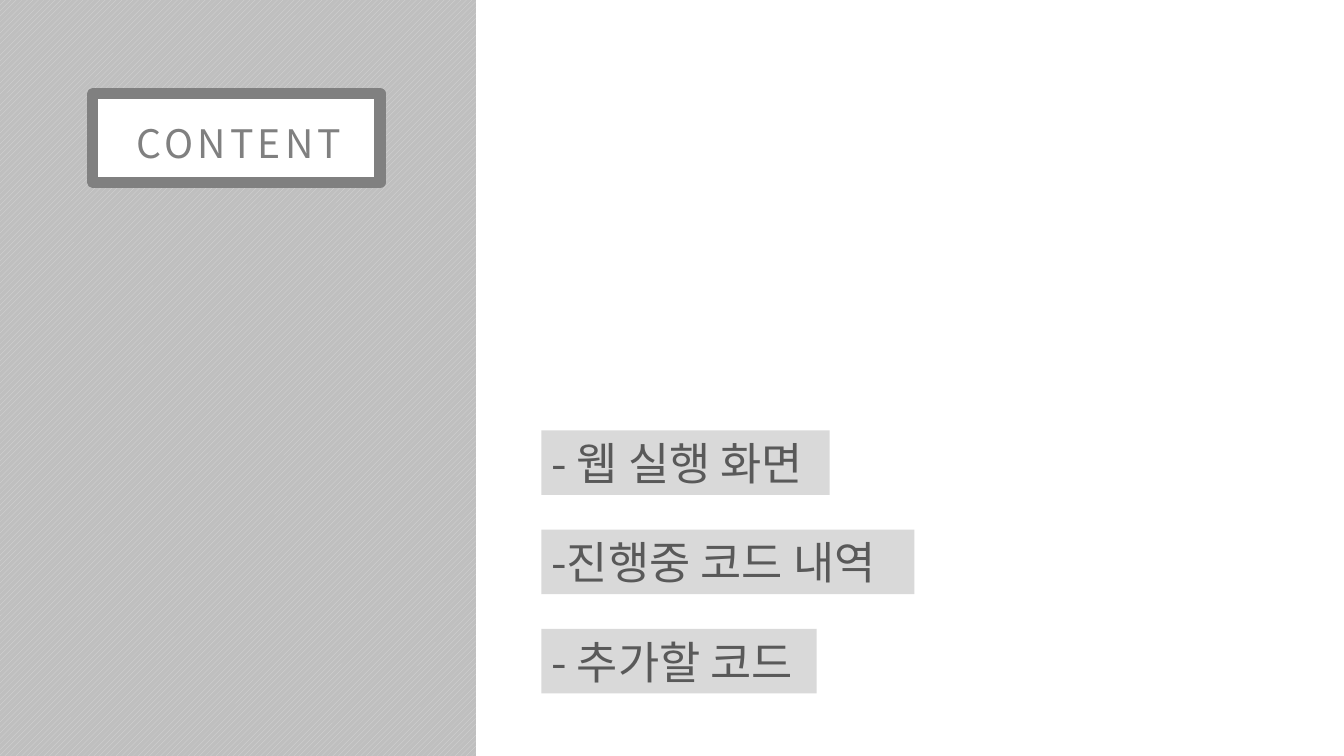
from pptx import Presentation
from pptx.dml.color import RGBColor
from pptx.enum import dml, shapes, text
from pptx.oxml import ns
from pptx.util import Inches, Pt
from lxml import etree

FONT = "Noto Sans CJK KR"
WHITE = RGBColor(0xFF, 0xFF, 0xFF)
PALE_GRAY = RGBColor(0xD9, 0xD9, 0xD9)
PANEL_GRAY = RGBColor(0xBF, 0xBF, 0xBF)
FRAME_GRAY = RGBColor(0x80, 0x80, 0x80)
TEXT_GRAY = RGBColor(0x59, 0x59, 0x59)

TOPICS = [("- 웹 실행 화면", 2.86), ("-진행중 코드 내역", 3.7), ("- 추가할 코드", 2.73)]
TOPIC_LEFT, TOPIC_TOP, TOPIC_STEP, TOPIC_HEIGHT = 5.37, 4.27, 0.985, 0.64


def add_block(slide, left, top, width, height):
    block = slide.shapes.add_shape(
        shapes.MSO_SHAPE.RECTANGLE,
        Inches(left), Inches(top), Inches(width), Inches(height))
    block.shadow.inherit = False
    block.line.fill.background()
    return block


def write_line(frame, wording, size, color, align):
    frame.text = wording
    frame.auto_size = text.MSO_AUTO_SIZE.NONE
    frame.vertical_anchor = text.MSO_ANCHOR.MIDDLE
    paragraph = frame.paragraphs[0]
    paragraph.alignment = align
    paragraph.line_spacing = 1.0
    run = paragraph.runs[0]
    run.font.size = Pt(size)
    run.font.name = FONT
    run.font.color.rgb = color
    properties = run.font._element
    etree.SubElement(properties, ns.qn("a:ea")).set("typeface", FONT)
    return properties


def add_side_panel(slide):
    panel = add_block(slide, 0, 0, 4.72, 7.5)
    panel.fill.patterned()
    panel.fill.pattern = dml.MSO_PATTERN.WIDE_UPWARD_DIAGONAL
    panel.fill.fore_color.rgb = PALE_GRAY
    panel.fill.back_color.rgb = PANEL_GRAY


def add_title_frame(slide):
    frame = add_block(slide, 0.92, 0.93, 2.85, 0.88)
    frame.fill.solid()
    frame.fill.fore_color.rgb = WHITE
    frame.line.color.rgb = FRAME_GRAY
    frame.line.width = Pt(8)


def add_topic(slide, wording, top, width):
    topic = add_block(slide, TOPIC_LEFT, top, width, TOPIC_HEIGHT)
    topic.fill.solid()
    topic.fill.fore_color.rgb = PALE_GRAY
    topic.text_frame.word_wrap = False
    write_line(topic.text_frame, wording, 32, TEXT_GRAY, text.PP_ALIGN.LEFT)


def place_title(slide, wording):
    title = slide.shapes.title
    title.left, title.top = Inches(0.51), Inches(1.13)
    title.width, title.height = Inches(3.72), Inches(0.57)
    title.text_frame.word_wrap = True
    properties = write_line(
        title.text_frame, wording, 28, FRAME_GRAY, text.PP_ALIGN.CENTER)
    properties.set("spc", "300")
    title.element.getparent().append(title.element)


def main():
    deck = Presentation()
    deck.slide_width, deck.slide_height = Inches(13.33), Inches(7.5)
    slide = deck.slides.add_slide(deck.slide_layouts[5])
    add_side_panel(slide)
    add_title_frame(slide)
    for row, (wording, width) in enumerate(TOPICS):
        add_topic(slide, wording, TOPIC_TOP + row * TOPIC_STEP, width)
    place_title(slide, "CONTENT")
    deck.save("out.pptx")


if __name__ == "__main__":
    main()
